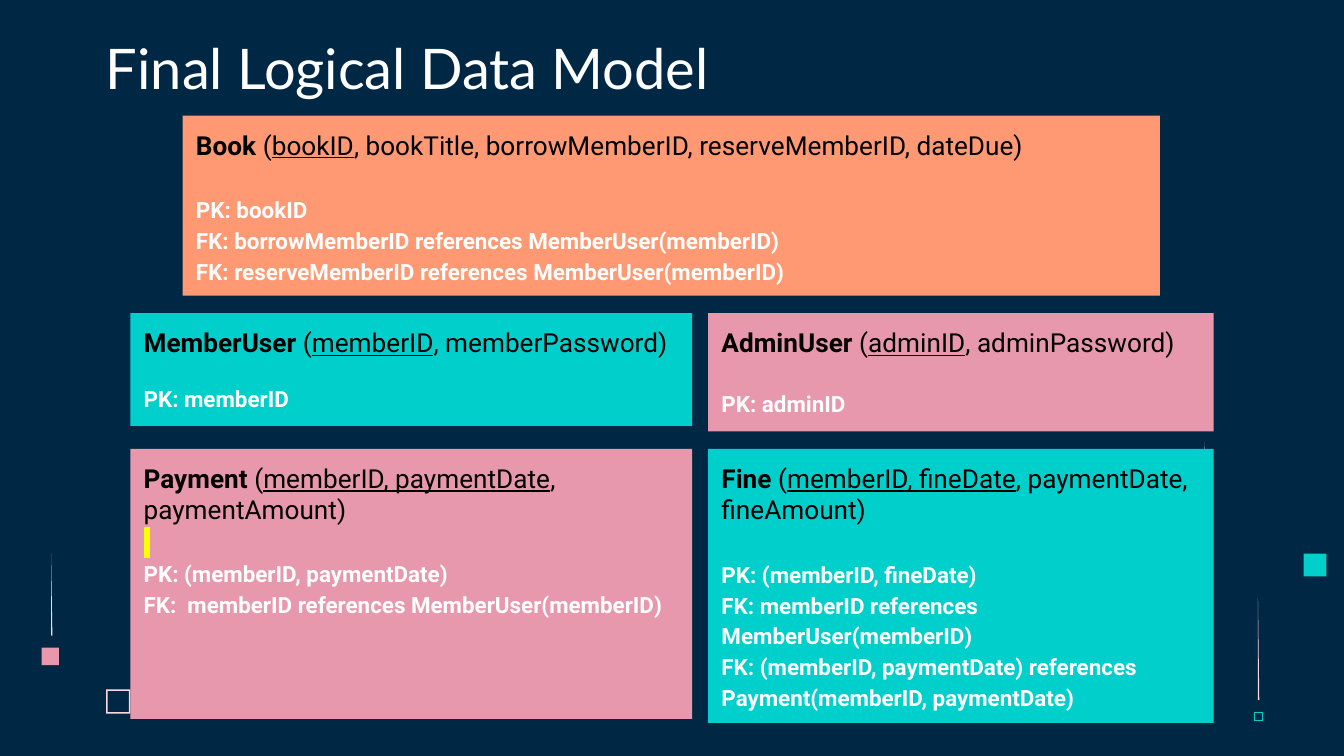
from lxml import etree
from pptx import Presentation
from pptx.dml.color import RGBColor
from pptx.enum.shapes import MSO_SHAPE
from pptx.enum.text import MSO_ANCHOR, PP_ALIGN
from pptx.oxml.ns import qn
from pptx.util import Inches, Pt

RECT, FRAME = MSO_SHAPE.RECTANGLE, MSO_SHAPE.FRAME
TOP, LEFT = MSO_ANCHOR.TOP, PP_ALIGN.LEFT

NAVY = RGBColor(0x00, 0x28, 0x45)
ORANGE = RGBColor(0xFF, 0x99, 0x73)
TEAL = RGBColor(0x00, 0xCF, 0xCC)
PINK = RGBColor(0xE8, 0x98, 0xAC)
PALE_PINK = RGBColor(0xFF, 0xD6, 0xE1)
WHITE = RGBColor(0xFF, 0xFF, 0xFF)
BLACK = RGBColor(0x00, 0x00, 0x00)
YELLOW = RGBColor(0xFF, 0xFF, 0x00)

# Columns and rows of the entity boxes
COL_1, COL_2 = 0.97, 5.27
WIDTH_1, WIDTH_2 = 4.18, 3.76
ROW_1, ROW_2 = 2.33, 3.34


def add_run(p, text, size, color, font="Roboto", bold=False, underline=False):
    r = p.add_run()
    r.text = text
    r.font.size = Pt(size)
    r.font.name = font
    r.font.bold = bold
    r.font.underline = underline
    r.font.color.rgb = color
    return r


def highlight(r, color):
    """Mark a run; the element belongs right after the text fill."""
    fill = r.font._element.find(qn("a:solidFill"))
    mark = etree.Element(qn("a:highlight"))
    etree.SubElement(mark, qn("a:srgbClr"), val=str(color))
    fill.addnext(mark)


def add_block(slide, left, top, width, height, fill=None, line=None, shape=RECT):
    sp = slide.shapes.add_shape(shape, Inches(left), Inches(top), Inches(width), Inches(height))
    sp.shadow.inherit = False
    if fill is None:
        sp.fill.background()
    else:
        sp.fill.solid()
        sp.fill.fore_color.rgb = fill
    if line is None:
        sp.line.fill.background()
    else:
        sp.line.color.rgb = line
        sp.line.width = Pt(0.23)
    return sp


def add_needle(slide, x, top, bottom):
    """Thin line that tapers to a point at the top."""
    builder = slide.shapes.build_freeform(Inches(x), Inches(top))
    builder.add_line_segments(
        [(Inches(x), Inches(bottom)), (Inches(x + 0.01), Inches(bottom))], close=True)
    sp = builder.convert_to_shape()
    sp.shadow.inherit = False
    sp.fill.solid()
    sp.fill.fore_color.rgb = PALE_PINK
    sp.line.fill.background()


def set_up_text(sp):
    tf = sp.text_frame
    tf.word_wrap = True
    tf.vertical_anchor = TOP
    tf.margin_left = tf.margin_right = tf.margin_top = tf.margin_bottom = Inches(0.1)
    return tf


def add_title(slide, text):
    tf = set_up_text(slide.shapes.add_textbox(Inches(0.69), Inches(0.25), Inches(5.83), Inches(1.1)))
    tf.margin_top = 0
    add_run(tf.paragraphs[0], text, 30, WHITE, font="Lato")


def add_entity(slide, box, fill, name, key, attributes, constraints,
               gap=17, spacing=1.15, marked=False):
    """Box with the relation's schema and, below it, its key constraints."""
    tf = set_up_text(add_block(slide, *box, fill=fill))
    p = tf.paragraphs[0]
    p.alignment = LEFT
    add_run(p, name + " ", 14, BLACK, bold=True)
    add_run(p, "(", 14, BLACK)
    add_run(p, key, 14, BLACK, underline=True)
    add_run(p, f", {attributes})", 14, BLACK)

    # A yellow mark takes the place of the gap
    if marked:
        p = tf.add_paragraph()
        p.alignment = LEFT
        highlight(add_run(p, " ", 14, BLACK), YELLOW)

    for i, text in enumerate(constraints):
        p = tf.add_paragraph()
        p.alignment = LEFT
        p.line_spacing = spacing
        if i == 0 and not marked:
            p.space_before = Pt(gap)
        add_run(p, text, 12, WHITE, bold=True)


def add_decorations(slide):
    frame = add_block(slide, 0.79, 5.13, 0.18, 0.18, fill=PALE_PINK, shape=FRAME)
    frame.adjustments[0] = 0.06
    add_block(slide, 0.31, 4.82, 0.13, 0.13, fill=PINK)
    add_block(slide, 9.7, 4.12, 0.17, 0.17, fill=TEAL)
    add_block(slide, 9.33, 5.3, 0.06, 0.06, line=TEAL)
    for x, top, bottom in [(8.96, 3.29, 4.26), (0.38, 4.12, 4.73), (9.36, 4.45, 5.21)]:
        add_needle(slide, x, top, bottom)


def main():
    prs = Presentation()
    prs.slide_width = Inches(10)
    prs.slide_height = Inches(10 * 9 / 16)
    slide = prs.slides.add_slide(prs.slide_layouts[6])
    slide.background.fill.solid()
    slide.background.fill.fore_color.rgb = NAVY

    add_decorations(slide)
    add_title(slide, "Final Logical Data Model")

    # Entities
    add_entity(slide, (1.36, 0.86, 7.27, 1.34), ORANGE, "Book", "bookID",
               "bookTitle, borrowMemberID, reserveMemberID, dateDue",
               ["PK: bookID",
                "FK: borrowMemberID references MemberUser(memberID)",
                "FK: reserveMemberID references MemberUser(memberID)"])
    add_entity(slide, (COL_1, ROW_1, WIDTH_1, 0.84), TEAL, "MemberUser", "memberID",
               "memberPassword", ["PK: memberID"], gap=14.5, spacing=1.0)
    add_entity(slide, (COL_2, ROW_1, WIDTH_2, 0.88), PINK, "AdminUser", "adminID",
               "adminPassword", ["PK: adminID"], spacing=1.0)
    add_entity(slide, (COL_1, ROW_2, WIDTH_1, 2.01), PINK, "Payment",
               "memberID, paymentDate", "paymentAmount",
               ["PK: (memberID, paymentDate)",
                "FK:  memberID references MemberUser(memberID)"], marked=True)
    add_entity(slide, (COL_2, ROW_2, WIDTH_2, 2.04), TEAL, "Fine",
               "memberID, fineDate", "paymentDate, fineAmount",
               ["PK: (memberID, fineDate)",
                "FK: memberID references MemberUser(memberID)",
                "FK: (memberID, paymentDate) references Payment(memberID, paymentDate)"])

    prs.save("out.pptx")


if __name__ == "__main__":
    main()
